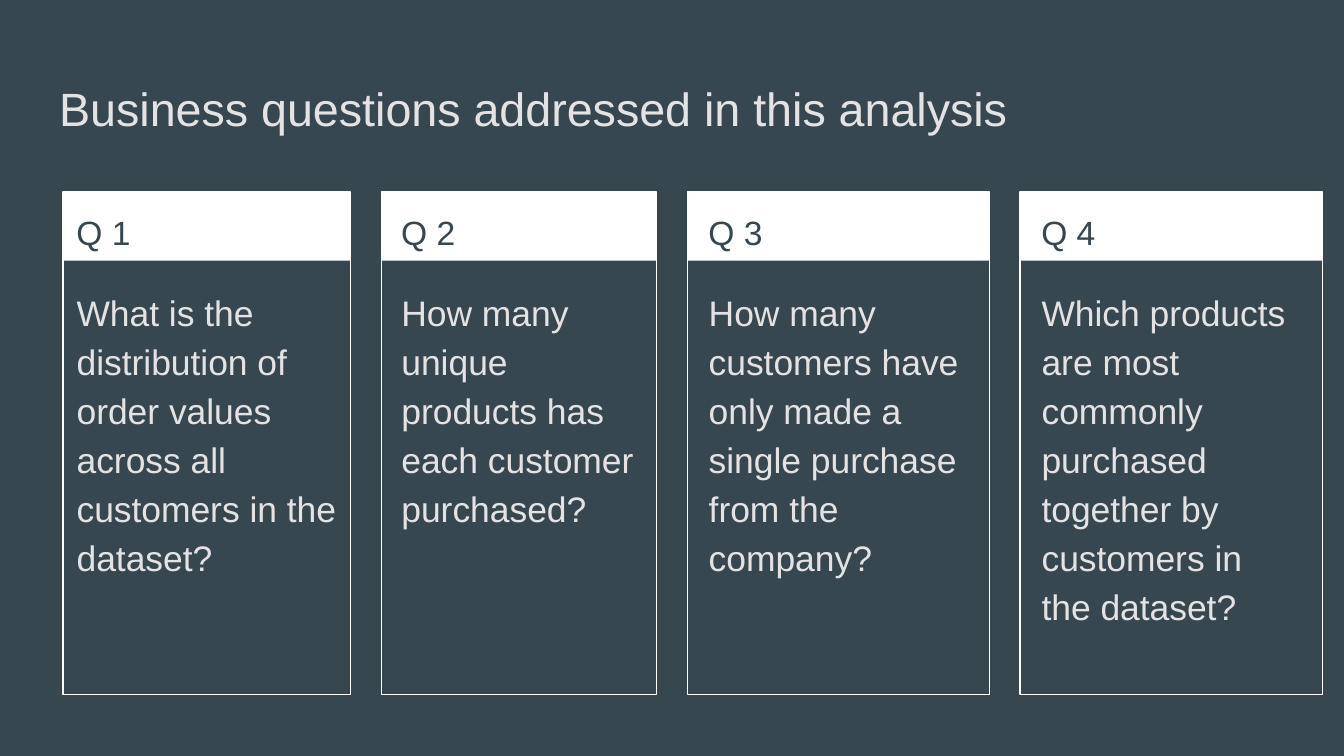
from lxml import etree
from pptx import Presentation
from pptx.dml.color import RGBColor
from pptx.enum.shapes import MSO_SHAPE
from pptx.enum.text import MSO_ANCHOR, MSO_AUTO_SIZE, PP_ALIGN
from pptx.oxml.ns import qn
from pptx.util import Inches, Pt

RECTANGLE = MSO_SHAPE.RECTANGLE
TOP, MIDDLE = MSO_ANCHOR.TOP, MSO_ANCHOR.MIDDLE
LEFT = PP_ALIGN.LEFT
NO_AUTOFIT = MSO_AUTO_SIZE.NONE
COMPARISON_LAYOUT = 4

SLATE, PALE, WHITE = "37474F", "E3E3E3", "FFFFFF"
FONT = "Arial"
PANELS_LEFT, PANELS_RIGHT = 0.47, 9.84
PANEL_TOP, PANEL_HEIGHT = 1.43, 3.74
HEADER_HEIGHT, LABEL_HEIGHT = 0.51, 0.5
QUESTION_TOP, QUESTION_HEIGHT = 2.02, 3.06

PANEL_WIDTHS = [2.14, 2.05, 2.25, 2.25]
TEXT_INDENTS = [0, 0.05, 0.06, 0.06]
QUESTIONS = [
    "What is the distribution of order values across all customers in the dataset?",
    "How many unique products has each customer purchased?",
    "How many customers have only made a single purchase from the company?",
    "Which products are most commonly purchased together by customers in the dataset?",
]


def color(hex_value):
    """Turn a hex string into a colour."""
    return RGBColor.from_string(hex_value)


def place(element, left, top, width, height):
    """Move and size an element, in inches."""
    element.left, element.top = Inches(left), Inches(top)
    element.width, element.height = Inches(width), Inches(height)


def write(holder, text, size, ink, anchor=TOP, line_spacing=1.0, after=0):
    """Fill a text holder with one plain, unbulleted paragraph."""
    frame = holder.text_frame
    frame.word_wrap = True
    frame.auto_size = NO_AUTOFIT
    frame.vertical_anchor = anchor
    frame.margin_left = frame.margin_right = Inches(0.1)
    frame.margin_top = frame.margin_bottom = Inches(0.1)
    paragraph = frame.paragraphs[0]
    paragraph.alignment = LEFT
    paragraph.line_spacing = line_spacing
    paragraph.space_before, paragraph.space_after = Pt(0), Pt(after)
    properties = paragraph._p.get_or_add_pPr()
    properties.set("marL", "0")
    properties.set("indent", "0")
    etree.SubElement(properties, qn("a:buNone"))
    run = paragraph.add_run()
    run.text = text
    run.font.name, run.font.size, run.font.bold = FONT, Pt(size), False
    run.font.color.rgb = color(ink)


def add_rectangle(group, left, top, width, height, fill=None, line=None):
    """Add a rectangle with an optional fill and outline."""
    rectangle = group.shapes.add_shape(
        RECTANGLE, Inches(left), Inches(top), Inches(width), Inches(height))
    rectangle.shadow.inherit = False
    if fill:
        rectangle.fill.solid()
        rectangle.fill.fore_color.rgb = color(fill)
    else:
        rectangle.fill.background()
    if line:
        rectangle.line.color.rgb = color(line)
        rectangle.line.width = Pt(0.75)
    else:
        rectangle.line.fill.background()


def add_panel(slide, left, width):
    """Add an outlined panel with a filled header band."""
    panel = slide.shapes.add_group_shape()
    add_rectangle(panel, left, PANEL_TOP, width, HEADER_HEIGHT, fill=WHITE)
    add_rectangle(panel, left, PANEL_TOP, width, PANEL_HEIGHT, line=WHITE)


def add_question(slide, body, number, left, width, indent, question):
    """Add one panel with its label and its question."""
    add_panel(slide, left, width)
    text_left, text_width = left + indent, width - 2 * indent
    label = slide.shapes.add_textbox(0, 0, 0, 0)
    place(label, text_left, PANEL_TOP, text_width, LABEL_HEIGHT)
    write(label, f"Q {number}", 18, SLATE, line_spacing=1.15)
    place(body, text_left, QUESTION_TOP, text_width, QUESTION_HEIGHT)
    write(body, question, 19, PALE, line_spacing=1.15, after=16)


def main():
    """Build the slide and save it."""
    deck = Presentation()
    deck.slide_width = Inches(10)
    deck.slide_height = deck.slide_width * 9 // 16
    slide = deck.slides.add_slide(deck.slide_layouts[COMPARISON_LAYOUT])
    slide.background.fill.solid()
    slide.background.fill.fore_color.rgb = color(SLATE)

    title, *bodies = slide.placeholders
    place(title, 0.34, 0.49, 9.32, 0.63)
    write(title, "Business questions addressed in this analysis", 25, PALE, anchor=MIDDLE)

    free_width = PANELS_RIGHT - PANELS_LEFT - sum(PANEL_WIDTHS)
    gap = free_width / (len(PANEL_WIDTHS) - 1)
    left = PANELS_LEFT
    columns = zip(bodies, PANEL_WIDTHS, TEXT_INDENTS, QUESTIONS)
    for number, (body, width, indent, question) in enumerate(columns, start=1):
        add_question(slide, body, number, left, width, indent, question)
        left += width + gap
    deck.save("out.pptx")


if __name__ == "__main__":
    main()
